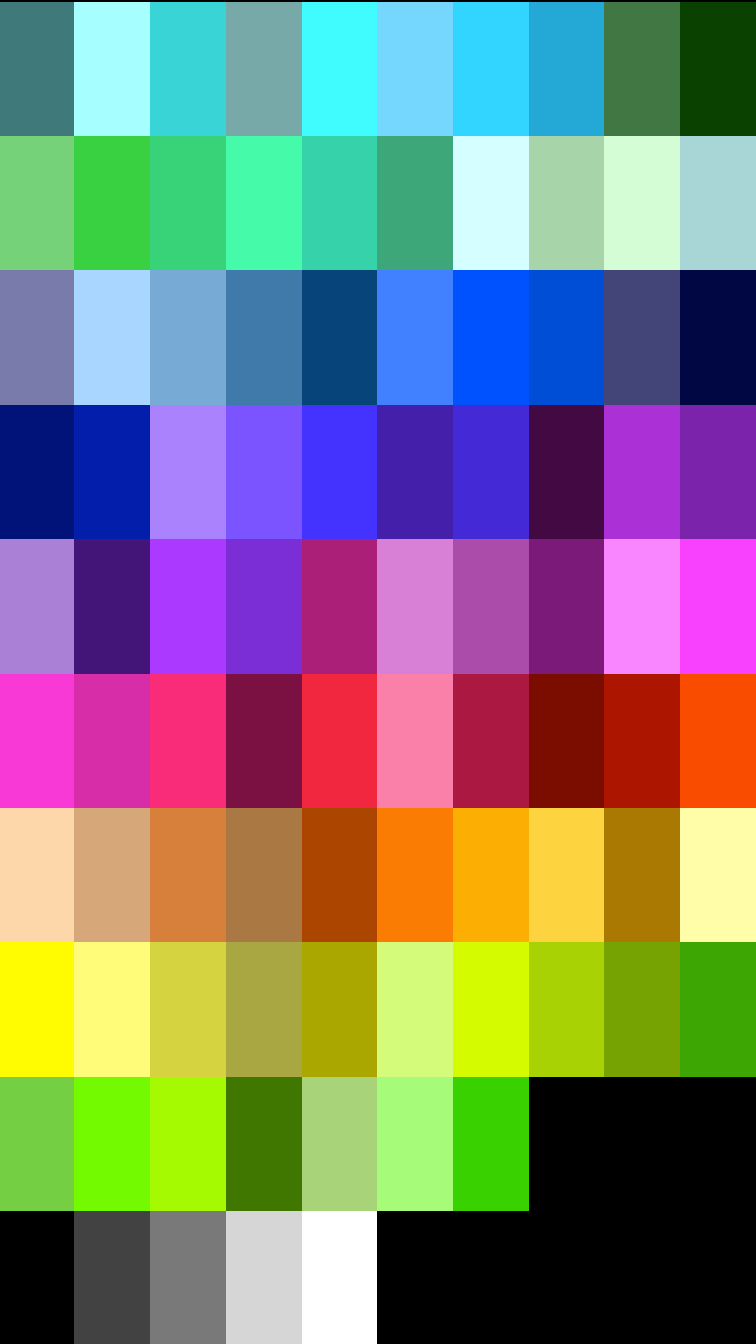
from pptx import Presentation
from pptx.dml.color import RGBColor
from pptx.oxml.ns import qn
from pptx.util import Cm

BLACK = RGBColor(0x00, 0x00, 0x00)
PLAIN_TABLE_STYLE = "{2D5ABB26-0587-4C30-8999-92F81FD0307C}"
BLANK_LAYOUT = 6
COLUMN_COUNT = 10

SWATCH_ROWS = [
    [RGBColor.from_string(code) for code in row.split()]
    for row in (
        "407979 A6FEFE 38D4D6 78A9A9 41FCFF 76D7FE 32D5FF 24A9D6 407742 0B4100",
        "75D279 39D142 38D279 45FBA9 36D3AA 3DA779 D4FEFF A8D4A9 D4FDD5 A8D5D6",
        "797BAA A8D6FF 78AAD6 407AAA 064479 4180FF 0052FF 004DD6 434579 000743",
        "011279 021EAA AB82FE 7B53FF 4433FF 4420AA 442AD6 430942 AB30D6 7B23AA",
        "AA7FD6 431579 AC39FF 7B2DD6 AB1F79 D780D6 AB4CAA 7B1A79 F985FF F841FE",
        "F839D6 D82DA9 F92C79 7B1142 F12740 FA7FA9 AB1942 7B0C00 AC1600 FA4C01",
        "FDD6A9 D6A879 D7803B AA7842 AB4500 FA7C02 FCAE02 FDD440 AA7901 FFFDA8",
        "FFFB01 FFFC79 D6D341 A9A741 A9A700 D4FB79 D4FB00 A8D203 76A301 3DA603",
        "74D042 73FA00 A6FA01 407701 A8D378 A6FB79 39D100",
        "000000 424242 797979 D6D6D6 FFFFFF",
    )
]


class PaletteSlide:
    def __init__(self, presentation, background):
        layout = presentation.slide_layouts[BLANK_LAYOUT]
        self.slide = presentation.slides.add_slide(layout)
        fill = self.slide.background.fill
        fill.solid()
        fill.fore_color.rgb = background

    def add_swatch_table(self, swatch_rows, left, top, width, height):
        """Fill one cell per colour; cells past the end of a row stay clear."""
        shape = self.slide.shapes.add_table(
            len(swatch_rows), COLUMN_COUNT, left, top, width, height
        )
        table = shape.table
        table.first_row = False
        table.horz_banding = False
        for style in shape.element.iter(qn("a:tableStyleId")):
            style.text = PLAIN_TABLE_STYLE
        for row_index, colors in enumerate(swatch_rows):
            for column_index in range(COLUMN_COUNT):
                fill = table.cell(row_index, column_index).fill
                if column_index < len(colors):
                    fill.solid()
                    fill.fore_color.rgb = colors[column_index]
                else:
                    fill.background()


def main():
    presentation = Presentation()
    presentation.slide_width = Cm(19.05)
    presentation.slide_height = Cm(33.87)
    palette = PaletteSlide(presentation, BLACK)
    palette.add_swatch_table(
        SWATCH_ROWS, left=Cm(-0.03), top=Cm(0.04), width=Cm(19.08), height=Cm(33.87)
    )
    presentation.save("out.pptx")


if __name__ == "__main__":
    main()
